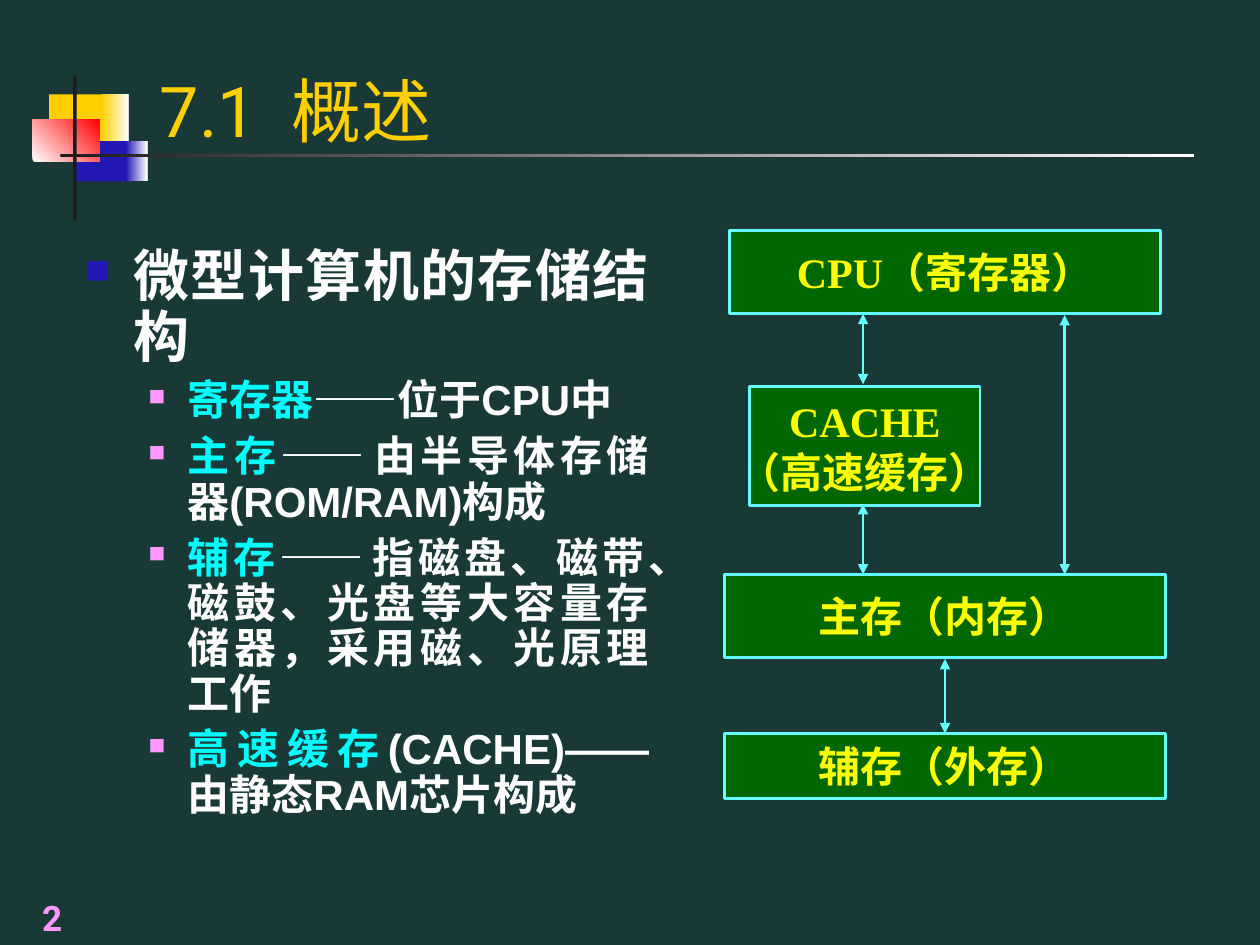
"""Build a slide on the storage hierarchy of a microcomputer."""
from lxml import etree
from pptx import Presentation
from pptx.dml.color import RGBColor
from pptx.enum.shapes import MSO_CONNECTOR, MSO_SHAPE
from pptx.enum.text import MSO_ANCHOR, PP_ALIGN
from pptx.oxml.ns import qn
from pptx.util import Inches, Pt

RECTANGLE = MSO_SHAPE.RECTANGLE
STRAIGHT = MSO_CONNECTOR.STRAIGHT
MIDDLE, BOTTOM, TOP = MSO_ANCHOR.MIDDLE, MSO_ANCHOR.BOTTOM, MSO_ANCHOR.TOP
CENTER, LEFT, JUSTIFY = PP_ALIGN.CENTER, PP_ALIGN.LEFT, PP_ALIGN.JUSTIFY
GOLD, BLUE, RED, WHITE, BLACK = "FFCF01", "2318B4", "FF0000", "FFFFFF", "1C1C1C"
PINK, CYAN, YELLOW, GREEN, AQUA = "FF99FF", "00FFFF", "FFFF00", "006600", "66FFFF"


def rgb(value):
    return RGBColor.from_string(value)


def add_span(para, text, font, size, color, bold=True):
    span = para.add_run()
    span.text = text
    values = {"name": font, "size": Pt(size), "bold": bold}
    for name, value in values.items():
        setattr(span.font, name, value)
    span.font.color.rgb = rgb(color)


deck = Presentation()
deck.slide_width, deck.slide_height = Inches(10), Inches(7.5)
page = deck.slides.add_slide(deck.slide_layouts[6])
page.background.fill.solid()
page.background.fill.fore_color.rgb = rgb("193936")

ornaments = [
    ((0.39, 0.75, 0.46, 0.37), [GOLD], 0),
    ((0.81, 0.75, 0.21, 0.37), [GOLD, WHITE], 0),
    ((0.59, 1.12, 0.41, 0.32), [BLUE], 0),
    ((1, 1.12, 0.17, 0.32), [BLUE, WHITE], 0),
    ((0.26, 0.95, 0.53, 0.33), [WHITE, RED], 45),
    ((0.58, 0.6, 0.03, 1.15), [BLACK], 0),
    ((0.48, 1.22, 9, 0.03), [BLACK, WHITE], 0),
]
for place, colors, angle in ornaments:
    ornament = page.shapes.add_shape(RECTANGLE, *map(Inches, place))
    ornament.shadow.inherit = False
    ornament.line.fill.background()
    if len(colors) == 1:
        ornament.fill.solid()
        ornament.fill.fore_color.rgb = rgb(colors[0])
    else:
        ornament.fill.gradient()
        ornament.fill.gradient_angle = angle
        for stop, color in zip(ornament.fill.gradient_stops, colors):
            stop.color.rgb = rgb(color)

labels = [
    ("2", (0, 7, 0.83, 0.5), CENTER, 20, PINK, True),
    ("7.1  概述", (1.17, 0.33, 8.52, 0.92), LEFT, 40, GOLD, False),
]
for text, place, alignment, size, color, bold in labels:
    frame = page.shapes.add_textbox(*map(Inches, place)).text_frame
    frame.word_wrap = True
    frame.vertical_anchor = BOTTOM
    para = frame.paragraphs[0]
    para.alignment = alignment
    add_span(para, text, "Roboto", size, color, bold)

heading = {"level": 0, "margin": 0.38, "indent": -0.38, "bullet": BLUE, "scale": 60,
           "font": "Roboto", "size": 32}
detail = {"level": 1, "margin": 0.81, "indent": -0.31, "bullet": PINK, "scale": 55,
          "font": "Arial", "size": 24}
points = [
    (heading, "", "微型计算机的存储结构"),
    (detail, "寄存器", "——位于CPU中"),
    (detail, "主存", "——由半导体存储器(ROM/RAM)构成"),
    (detail, "辅存", "——指磁盘、磁带、磁鼓、光盘等大容量存储器，采用磁、光原理工作"),
    (detail, "高速缓存", "(CACHE)——由静态RAM芯片构成"),
]
body = page.shapes.add_textbox(Inches(0.58), Inches(1.92), Inches(4.67), Inches(4.83))
frame = body.text_frame
frame.word_wrap = True
frame.vertical_anchor = TOP
for index, (style, term, text) in enumerate(points):
    para = frame.add_paragraph() if index else frame.paragraphs[0]
    properties = para._p.get_or_add_pPr()
    properties.set("marL", str(Inches(style["margin"])))
    properties.set("indent", str(Inches(style["indent"])))
    bullet_color = etree.SubElement(properties, qn("a:buClr"))
    etree.SubElement(bullet_color, qn("a:srgbClr"), val=style["bullet"])
    etree.SubElement(properties, qn("a:buSzPct"), val=str(style["scale"] * 1000))
    etree.SubElement(properties, qn("a:buChar"), char="■")
    layout = {"level": style["level"], "alignment": JUSTIFY, "line_spacing": 0.9,
              "space_before": Pt(6 if index else 0)}
    for name, value in layout.items():
        setattr(para, name, value)
    if term:
        add_span(para, term, style["font"], style["size"], CYAN)
    add_span(para, text, style["font"], style["size"], WHITE)

stores = [
    ((5.79, 1.83, 3.42, 0.66), ["CPU（寄存器）"]),
    ((5.95, 3.07, 1.83, 0.94), ["CACHE", "（高速缓存）"]),
    ((5.75, 4.56, 3.5, 0.66), ["主存（内存）"]),
    ((5.75, 5.82, 3.5, 0.52), ["辅存（外存）"]),
]
for place, lines in stores:
    box = page.shapes.add_shape(RECTANGLE, *map(Inches, place))
    box.shadow.inherit = False
    box.fill.solid()
    box.fill.fore_color.rgb = rgb(GREEN)
    box.line.color.rgb = rgb(AQUA)
    box.line.width = Pt(1.5)
    frame = box.text_frame
    frame.word_wrap = False
    frame.vertical_anchor = MIDDLE
    for index, text in enumerate(lines):
        para = frame.add_paragraph() if index else frame.paragraphs[0]
        para.alignment = CENTER
        add_span(para, text, "Times New Roman", 24, YELLOW)

for x, start, end in [(6.85, 2.49, 3.05), (6.85, 4, 4.56), (8.45, 2.5, 4.56), (7.5, 5.23, 5.82)]:
    arrow = page.shapes.add_connector(STRAIGHT, Inches(x), Inches(start), Inches(x), Inches(end))
    arrow.line.color.rgb = rgb(AQUA)
    arrow.line.width = Pt(1.5)
    outline = arrow.line._get_or_add_ln()
    for tip in ("a:headEnd", "a:tailEnd"):
        etree.SubElement(outline, qn(tip), type="triangle")
    etree.SubElement(arrow._element.spPr, qn("a:effectLst"))

deck.save("out.pptx")
